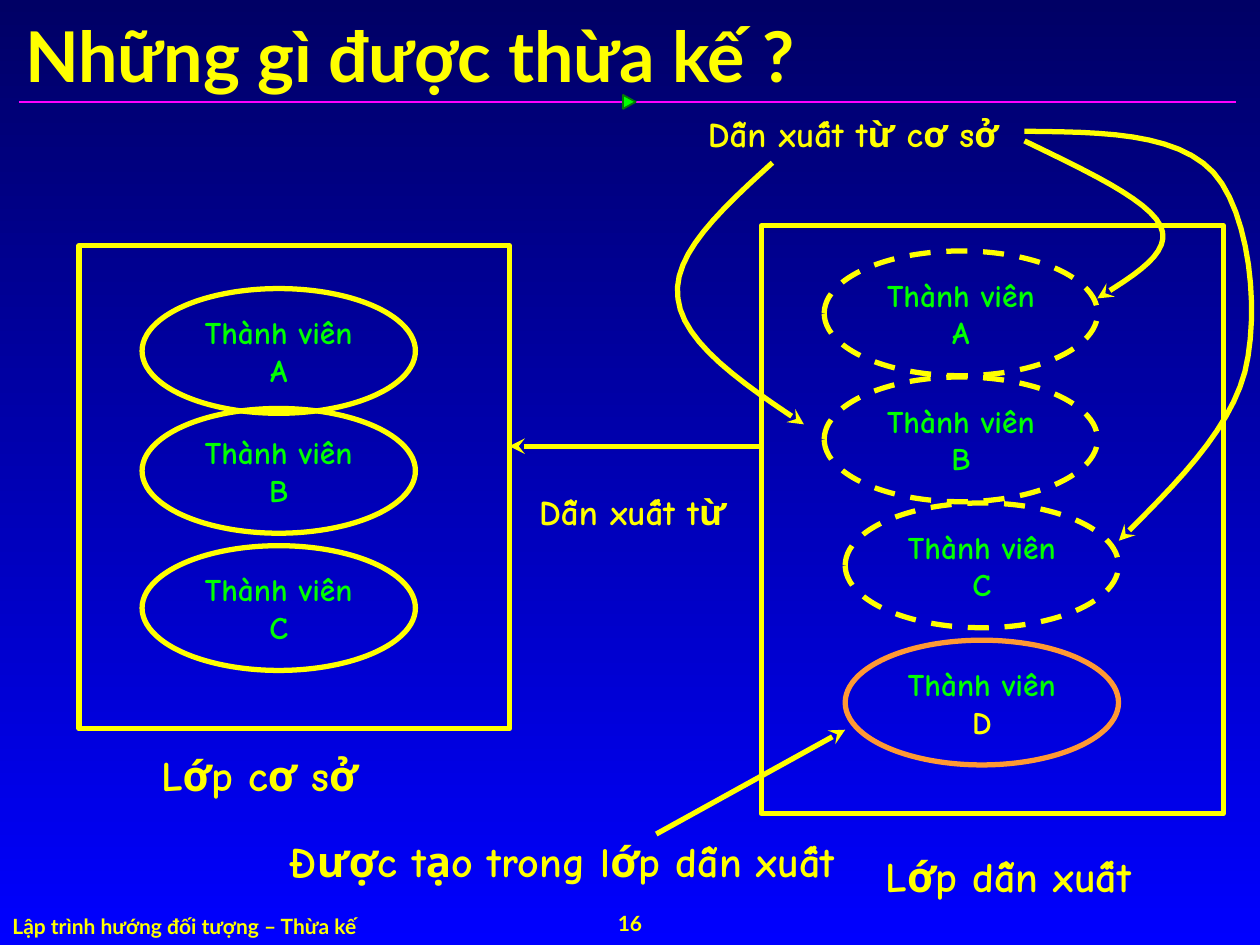
from lxml.etree import SubElement
from pptx import Presentation
from pptx.dml.color import RGBColor
from pptx.enum.dml import MSO_LINE_DASH_STYLE as Dash
from pptx.enum.shapes import MSO_CONNECTOR as Connector, MSO_SHAPE as Shape
from pptx.enum.text import MSO_ANCHOR as Anchor, PP_ALIGN as Align
from pptx.oxml.ns import qn
from pptx.util import Pt

YELLOW, GREEN, ORANGE, MAGENTA = "FFFF00", "00FF00", "FF9933", "FF01FF"
HEADING_FONT, DIAGRAM_FONT = "Lato", "Comic Neue"


def color(value):
    """Turn a hex string into a colour."""
    return RGBColor.from_string(value)


def write(shape, *texts, size=18, font=DIAGRAM_FONT, colors=(YELLOW,),
          align=Align.LEFT, anchor=Anchor.TOP, wrap=False):
    """Write one bold paragraph with a run for each text and its colour."""
    frame = shape.text_frame
    frame.word_wrap = wrap
    frame.vertical_anchor = anchor
    frame.margin_left = frame.margin_right = Pt(7.2)
    frame.margin_top = frame.margin_bottom = Pt(3.6)
    paragraph = frame.paragraphs[0]
    paragraph.alignment = align
    for text, run_color in zip(texts, colors):
        run = paragraph.add_run()
        run.text = text
        run.font.size = Pt(size)
        run.font.name = font
        run.font.bold = True
        run.font.color.rgb = color(run_color)


def add_text(slide, text, left, top, width, height, **style):
    """Add a text box."""
    box = slide.shapes.add_textbox(Pt(left), Pt(top), Pt(width), Pt(height))
    write(box, text, **style)


def add_outline(slide, kind, left, top, width, height, line=YELLOW, dash=None):
    """Add an unfilled preset shape."""
    shape = slide.shapes.add_shape(kind, Pt(left), Pt(top), Pt(width), Pt(height))
    shape.shadow.inherit = False
    shape.fill.background()
    shape.line.color.rgb = color(line)
    shape.line.width = Pt(3)
    shape.line.dash_style = dash
    return shape


def add_arrowhead(shape):
    """Put a stealth arrowhead at the end of a line."""
    line = shape.line._get_or_add_ln()
    SubElement(line, qn("a:tailEnd"), type="stealth")


def add_line(slide, start, end, line=YELLOW, width=3, arrow=True):
    """Add a straight line between two points."""
    connector = slide.shapes.add_connector(
        Connector.STRAIGHT, *(Pt(value) for value in (*start, *end)))
    connector.line.color.rgb = color(line)
    connector.line.width = Pt(width)
    if arrow:
        add_arrowhead(connector)
    SubElement(connector._element.spPr, qn("a:effectLst"))


def curve_points(points, steps=12):
    """Yield points along joined cubic curves."""
    for first in range(0, len(points) - 1, 3):
        a, b, c, d = points[first:first + 4]
        for step in range(1, steps + 1):
            t = step / steps
            u = 1 - t
            yield tuple(
                Pt(u**3 * a[i] + 3 * u*u*t * b[i] + 3 * u*t*t * c[i] + t**3 * d[i])
                for i in (0, 1))


def add_curve(slide, left, top, points):
    """Add a curved arrow whose points are relative to a corner."""
    placed = [(left + x, top + y) for x, y in points]
    builder = slide.shapes.build_freeform(Pt(placed[0][0]), Pt(placed[0][1]))
    builder.add_line_segments(list(curve_points(placed)), close=False)
    curve = builder.convert_to_shape()
    curve.shadow.inherit = False
    curve.fill.background()
    curve.line.color.rgb = color(YELLOW)
    curve.line.width = Pt(3)
    add_arrowhead(curve)


def add_class(slide, left, top, width, height, caption, members):
    """Draw a class box with its member ellipses and caption."""
    add_outline(slide, Shape.RECTANGLE, left, top, width, height)
    for name, x, y, line, dash, name_color in members:
        ellipse = add_outline(slide, Shape.OVAL, left + x, top + y, 156.2, 71.3,
                              line, dash)
        write(ellipse, "Thành viên ", name, colors=(GREEN, name_color),
              align=Align.CENTER, anchor=Anchor.MIDDLE, wrap=True)
    text, x, y, text_width = caption
    add_text(slide, text, left + x, top + y, text_width, 36, size=24)


def add_frame(slide, width, height):
    """Place the title, its rule and the footer."""
    title = slide.shapes.title
    title.left, title.top, title.width, title.height = map(Pt, (7.2, 10, width - 11.5, 42))
    write(title, "Những gì được thừa kế ?", size=40, font=HEADING_FONT,
          anchor=Anchor.MIDDLE, wrap=True)
    add_line(slide, (10.8, 58.2), (width - 13.7, 58.2), MAGENTA, 1, arrow=False)
    marker = add_outline(slide, Shape.ISOSCELES_TRIANGLE, 355.7, 54.6, 7.9, 7.2, "037C03")
    marker.rotation = 90
    marker.line.width = Pt(1)
    marker.fill.solid()
    marker.fill.fore_color.rgb = color(GREEN)
    add_text(slide, "Lập trình hướng đối tượng – Thừa kế", 0, height - 21.6, 367, 21.6,
             size=12, font=HEADING_FONT, wrap=True)
    add_text(slide, "16", 246, height - 23.8, 228, 23, size=12, font=HEADING_FONT,
             align=Align.CENTER, anchor=Anchor.MIDDLE)


def add_inheritance(slide, left, top):
    """Draw the labels and curves that mark the inherited members."""
    add_text(slide, "Dẫn xuất từ cơ sở", left, top, 180.7, 31.7, size=20)
    curves = [
        [(188, 20), (223, 37), (258.5, 53.5), (265.7, 68.5),
         (273, 83.5), (251.3, 96.5), (229.7, 110)],
        [(44, 32.5), (15, 59), (-13.7, 85), (-10, 110),
         (-7.2, 135.5), (27.3, 159), (62, 182)],
        [(188, 14.5), (231, 15), (274.4, 15), (296, 38),
         (316.8, 61.2), (322.6, 117.4), (314, 152),
         (304.5, 187), (273, 217.5), (242, 248.5)],
    ]
    for points in curves:
        add_curve(slide, left, top, points)


def build():
    """Build and save the slide."""
    presentation = Presentation()
    presentation.slide_width, presentation.slide_height = Pt(720), Pt(540)
    slide = presentation.slides.add_slide(presentation.slide_layouts[5])
    background = slide.background.fill
    background.gradient()
    background.gradient_angle = 270
    for stop, value, position in zip(background.gradient_stops, ("000065", "0000FF"), (0, 1)):
        stop.color.rgb = color(value)
        stop.position = position
    add_frame(slide, 720, 540)
    add_class(slide, 45.2, 140.4, 246, 276, ("Lớp cơ sở", 39.8, 284.4, 127.4), [
        (name, 36, y, YELLOW, None, GREEN)
        for name, y in (("A", 24.5), ("B", 93), ("C", 171.4))])
    add_class(slide, 435, 129, 264, 336, ("Lớp dẫn xuất", 64, 353.4, 154.8), [
        ("A", 36, 14.4, YELLOW, Dash.DASH, GREEN),
        ("B", 36, 86.4, YELLOW, Dash.DASH, GREEN),
        ("C", 48, 158.4, YELLOW, Dash.DASH, GREEN),
        ("D", 48, 236.8, ORANGE, None, YELLOW)])
    add_line(slide, (435, 255), (291, 255))
    add_text(slide, "Dẫn xuất từ", 301, 276.5, 121.7, 31.7, size=20)
    add_inheritance(slide, 397.4, 60.5)
    add_text(slide, "Được tạo trong lớp dẫn xuất", 157.7, 473.8, 326.9, 36, size=24)
    add_line(slide, (375, 476.6), (483, 417))
    presentation.save("out.pptx")


build()
